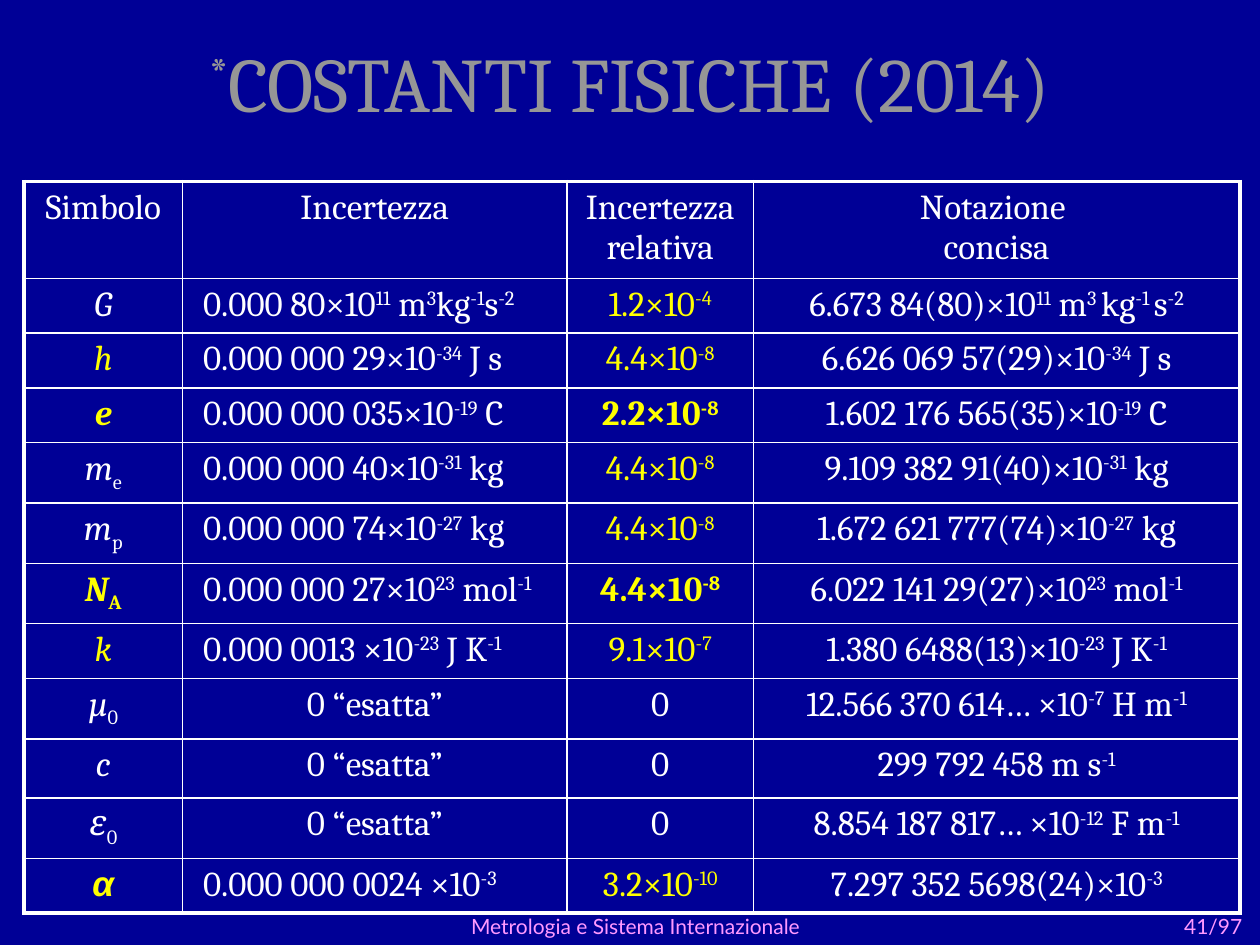
from dataclasses import dataclass

from lxml.etree import SubElement
from pptx import Presentation
from pptx.dml.color import RGBColor as RGB
from pptx.enum.text import MSO_ANCHOR as Anchor, PP_ALIGN as Align
from pptx.oxml.ns import qn
from pptx.util import Inches, Pt


@dataclass(frozen=True)
class Theme:
    background: RGB = RGB(0x00, 0x00, 0x96)
    title: RGB = RGB(0x96, 0x96, 0x96)
    text: RGB = RGB(0xFF, 0xFF, 0xFF)
    accent: RGB = RGB(0xFF, 0xFF, 0x00)
    footer: RGB = RGB(0xFF, 0x99, 0xFF)
    serif: str = "Cambria"
    sans: str = "Lato"
    greek: str = "Arial"
    title_size: float = 44
    table_size: float = 20
    footer_size: float = 12
    inner_line: float = 1
    outer_line: float = 2.25


@dataclass(frozen=True)
class Style:
    size: float
    color: RGB
    font: str = "Cambria"
    bold: bool = False
    italic: bool = False


@dataclass(frozen=True)
class Constant:
    """A table row; text between a pair of carets is superscript."""
    symbol: str
    uncertainty: str
    relative: str
    concise: str
    subscript: str = ""
    highlighted: bool = False
    bold_symbol: bool = False
    bold_relative: bool = False
    symbol_font: str = "Cambria"


THEME = Theme()
EXACT = "0 “esatta”"
HEADINGS = ["Simbolo", "Incertezza", "Incertezza relativa", "Notazione \vconcisa"]
COLUMN_WIDTHS = [1.26, 3.05, 1.48, 3.86]
HEADER_HEIGHT, ROW_HEIGHT, LIGHT_SPEED_HEIGHT = 0.77, 0.43, 0.47
CONSTANTS = [
    Constant("G", " 0.000 80×10^11^ m^3^kg^-1^s^-2^", "1.2×10^-4^",
             "6.673 84(80)×10^11^ m^3 ^kg^-1 ^s^-2^"),
    Constant("h", " 0.000 000 29×10^-34^ J s", "4.4×10^-8^",
             "6.626 069 57(29)×10^-34^ J s", highlighted=True),
    Constant("e", " 0.000 000 035×10^-19^ C", "2.2×10^-8^",
             "1.602 176 565(35)×10^-19^ C",
             highlighted=True, bold_symbol=True, bold_relative=True),
    Constant("m", " 0.000 000 40×10^-31^ kg", "4.4×10^-8^",
             "9.109 382 91(40)×10^-31^ kg", "e"),
    Constant("m", " 0.000 000 74×10^-27^ kg", "4.4×10^-8^",
             "1.672 621 777(74)×10^-27^ kg", "p"),
    Constant("N", " 0.000 000 27×10^23^ mol^-1^", "4.4×10^-8^",
             "6.022 141 29(27)×10^23^ mol^-1^", "A",
             highlighted=True, bold_symbol=True, bold_relative=True),
    Constant("k", " 0.000 0013 ×10^-23^ J K^-1^", "9.1×10^-7^",
             "1.380 6488(13)×10^-23^ J K^-1^", highlighted=True),
    Constant("µ", EXACT, "0", "12.566 370 614… ×10^-7^ H m^-1^", "0"),
    Constant("c", EXACT, "0", "299 792 458 m s^-1^"),
    Constant("ε", EXACT, "0", "8.854 187 817… ×10^-12^ F m^-1^", "0"),
    Constant("α", " 0.000 000 0024 ×10^-3^", "3.2×10^-10^",
             "7.297 352 5698(24)×10^-3^",
             highlighted=True, bold_symbol=True, symbol_font=THEME.greek),
]


def format_run(run, style: Style, baseline: int = 0) -> None:
    """Apply a style; baseline is the shift in percent of the type size."""
    font = run.font
    font.size, font.name = Pt(style.size), style.font
    font.bold, font.italic = style.bold, style.italic
    font.color.rgb = style.color
    if baseline:
        font._element.set("baseline", str(baseline * 1000))


def add_run(paragraph, text: str, style: Style, baseline: int = 0) -> None:
    run = paragraph.add_run()
    run.text = text
    format_run(run, style, baseline)


def write_marked(paragraph, marked: str, style: Style) -> None:
    for index, piece in enumerate(marked.split("^")):
        if piece:
            add_run(paragraph, piece, style, 30 if index % 2 else 0)


def set_borders(cell, widths: dict[str, float]) -> None:
    properties = cell._tc.get_or_add_tcPr()
    for index, (side, width) in enumerate(widths.items()):
        line = SubElement(properties, qn(f"a:ln{side}"), w=str(Pt(width)))
        fill = SubElement(line, qn("a:solidFill"))
        SubElement(fill, qn("a:srgbClr"), val=str(THEME.text))
        properties.insert(index, line)


def add_label(slide, text: str, box: tuple[float, ...], align: Align, anchor: Anchor) -> None:
    frame = slide.shapes.add_textbox(*map(Inches, box)).text_frame
    frame.word_wrap = True
    frame.vertical_anchor = anchor
    frame.text = text
    paragraph = frame.paragraphs[0]
    paragraph.alignment = align
    format_run(paragraph.runs[0], Style(THEME.footer_size, THEME.footer, THEME.sans))


def add_title(slide) -> None:
    title = slide.shapes.title
    title.left, title.top, title.width, title.height = map(Inches, (0, 0.29, 10, 0.71))
    title.text_frame.vertical_anchor = Anchor.MIDDLE
    paragraph = title.text_frame.paragraphs[0]
    paragraph.alignment = Align.CENTER
    write_marked(paragraph, "^*^COSTANTI FISICHE (2014)",
                 Style(THEME.title_size, THEME.title, THEME.serif))


def fill_constant(cells, constant: Constant) -> None:
    symbol, uncertainty, relative, concise = (c.text_frame.paragraphs[0] for c in cells)
    size, plain = THEME.table_size, Style(THEME.table_size, THEME.text)
    color = THEME.accent if constant.highlighted else THEME.text
    bold = constant.bold_symbol
    add_run(symbol, constant.symbol, Style(size, color, constant.symbol_font, bold, True))
    if constant.subscript:
        add_run(symbol, constant.subscript, Style(size, color, bold=bold), -25)
    write_marked(uncertainty, constant.uncertainty, plain)
    if constant.uncertainty != EXACT:
        uncertainty.alignment = Align.LEFT
    relative_color = THEME.text if constant.relative == "0" else THEME.accent
    write_marked(relative, constant.relative,
                 Style(size, relative_color, bold=constant.bold_relative))
    write_marked(concise, constant.concise, plain)


def add_constants_table(slide) -> None:
    heights = [HEADER_HEIGHT] + [
        LIGHT_SPEED_HEIGHT if c.symbol == "c" else ROW_HEIGHT for c in CONSTANTS]
    row_count, column_count = len(heights), len(COLUMN_WIDTHS)
    table = slide.shapes.add_table(
        row_count, column_count, Inches(0.19), Inches(1.44),
        Inches(sum(COLUMN_WIDTHS)), Inches(sum(heights))).table
    table.first_row = table.horz_banding = False
    for column, width in zip(table.columns, COLUMN_WIDTHS):
        column.width = Inches(width)
    for r, (row, height) in enumerate(zip(table.rows, heights)):
        row.height = Inches(height)
        for c, cell in enumerate(row.cells):
            cell.fill.background()
            edges = {"L": c == 0, "R": c == column_count - 1,
                     "T": r == 0, "B": r == row_count - 1}
            set_borders(cell, {side: THEME.outer_line if outer else THEME.inner_line
                               for side, outer in edges.items()})
            cell.text_frame.paragraphs[0].alignment = Align.CENTER
    for cell, heading in zip(table.rows[0].cells, HEADINGS):
        paragraph = cell.text_frame.paragraphs[0]
        paragraph.text = heading
        for run in paragraph.runs:
            format_run(run, Style(THEME.table_size, THEME.text))
    for r, constant in enumerate(CONSTANTS, start=1):
        fill_constant(table.rows[r].cells, constant)


def main() -> None:
    deck = Presentation()
    deck.slide_width, deck.slide_height = Inches(10), Inches(7.5)
    slide = deck.slides.add_slide(deck.slide_layouts[5])
    slide.background.fill.solid()
    slide.background.fill.fore_color.rgb = THEME.background
    add_label(slide, "41/97", (9.3, 7.2, 0.7, 0.3), Align.LEFT, Anchor.TOP)
    add_label(slide, "Metrologia e Sistema Internazionale",
              (0.8, 7.24, 8.49, 0.26), Align.CENTER, Anchor.BOTTOM)
    add_title(slide)
    add_constants_table(slide)
    deck.save("out.pptx")


if __name__ == "__main__":
    main()
